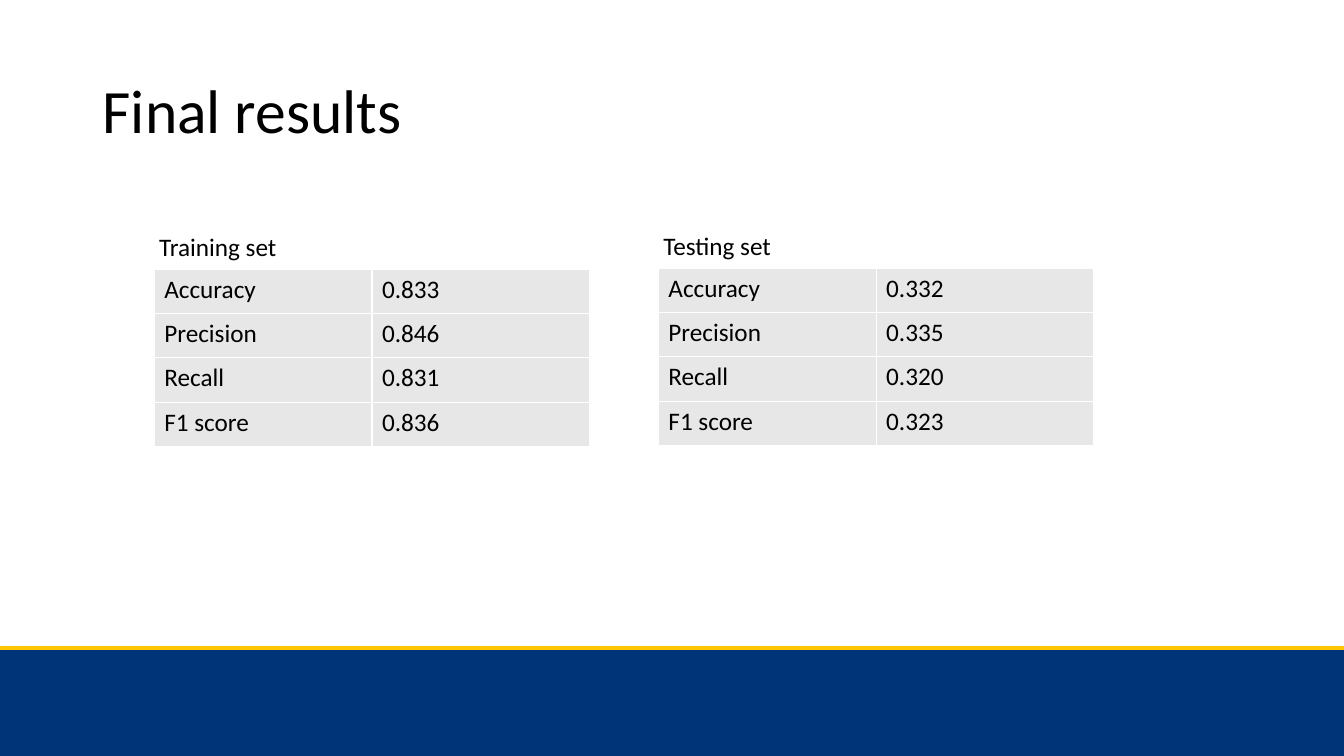
from lxml import etree
from pptx import Presentation
from pptx.dml.color import RGBColor
from pptx.enum.shapes import MSO_CONNECTOR, MSO_SHAPE
from pptx.enum.text import MSO_ANCHOR, MSO_AUTO_SIZE
from pptx.oxml.ns import qn
from pptx.util import Inches, Pt

STRAIGHT = MSO_CONNECTOR.STRAIGHT
RECTANGLE = MSO_SHAPE.RECTANGLE
MIDDLE = MSO_ANCHOR.MIDDLE
GROW = MSO_AUTO_SIZE.SHAPE_TO_FIT_TEXT
SLIDE_WIDTH, SLIDE_HEIGHT = 13.33, 7.5
BLUE, YELLOW, GRAY, WHITE, BLACK = "003478", "FFC600", "E7E7E7", "FFFFFF", "000000"
COLUMN_WIDTH, ROW_HEIGHT = 2.16, 0.44
METRICS = ["Accuracy", "Precision", "Recall", "F1 score"]
RESULTS = [
    ("Training set", 1.53, 2.67, 1.38, ["0.833", "0.846", "0.831", "0.836"]),
    ("Testing set", 6.53, 2.66, 1.28, ["0.332", "0.335", "0.320", "0.323"]),
]


def color(value):
    """Return the colour for a hex string."""
    return RGBColor.from_string(value)


def write(text_frame, text, size=18):
    """Write one paragraph of black text and return it."""
    paragraph = text_frame.paragraphs[0]
    run = paragraph.add_run()
    run.text = text
    for name, value in {"name": "Calibri", "size": Pt(size)}.items():
        setattr(run.font, name, value)
    run.font.color.rgb = color(BLACK)
    return paragraph


def add_text(slide, box, text, size=18, **frame_format):
    """Add a text box and return its paragraph."""
    text_frame = slide.shapes.add_textbox(*map(Inches, box)).text_frame
    for name, value in frame_format.items():
        setattr(text_frame, name, value)
    return write(text_frame, text, size)


def add_footer(slide):
    """Add the footer band and the line on its upper edge."""
    band = slide.shapes.add_shape(
        RECTANGLE, *map(Inches, (0, 6.45, SLIDE_WIDTH, 1.07)))
    band.shadow.inherit = False
    band.fill.solid()
    band.fill.fore_color.rgb = color(BLUE)
    band.line.fill.background()
    edge = slide.shapes.add_connector(
        STRAIGHT, *map(Inches, (0, 6.43, SLIDE_WIDTH, 6.43)))
    edge.line.color.rgb = color(YELLOW)
    edge.line.width = Pt(3)
    etree.SubElement(edge._element.spPr, qn("a:effectLst"))


def format_cell(cell):
    """Give a cell white borders and a gray fill."""
    properties = cell._tc.get_or_add_tcPr()
    for side in ("L", "R", "T", "B"):
        border = etree.SubElement(properties, qn(f"a:ln{side}"), w=str(Pt(1)))
        fill = etree.SubElement(border, qn("a:solidFill"))
        etree.SubElement(fill, qn("a:srgbClr"), val=WHITE)
    cell.fill.solid()
    cell.fill.fore_color.rgb = color(GRAY)


def add_results(slide, title, left, top, title_width, scores):
    """Add a table of metric scores with its title above."""
    box = (left, top, 2 * COLUMN_WIDTH, len(scores) * ROW_HEIGHT)
    table = slide.shapes.add_table(len(scores), 2, *map(Inches, box)).table
    for name in ("first_row", "horz_banding"):
        setattr(table, name, False)
    for row, texts in enumerate(zip(METRICS, scores)):
        for column, text in enumerate(texts):
            cell = table.cell(row, column)
            write(cell.text_frame, text)
            format_cell(cell)
    add_text(slide, (left - 0.05, top - 0.42, title_width, 0.4), title,
             word_wrap=False, auto_size=GROW)


def main():
    """Build the slide and save it."""
    presentation = Presentation()
    presentation.slide_width = Inches(SLIDE_WIDTH)
    presentation.slide_height = Inches(SLIDE_HEIGHT)
    slide = presentation.slides.add_slide(presentation.slide_layouts[6])
    add_footer(slide)
    heading = add_text(slide, (0.92, 0.4, 11.5, 1.45), "Final results", 44,
                       word_wrap=True, vertical_anchor=MIDDLE)
    heading.line_spacing = 0.9
    for result in RESULTS:
        add_results(slide, *result)
    presentation.save("out.pptx")


if __name__ == "__main__":
    main()
